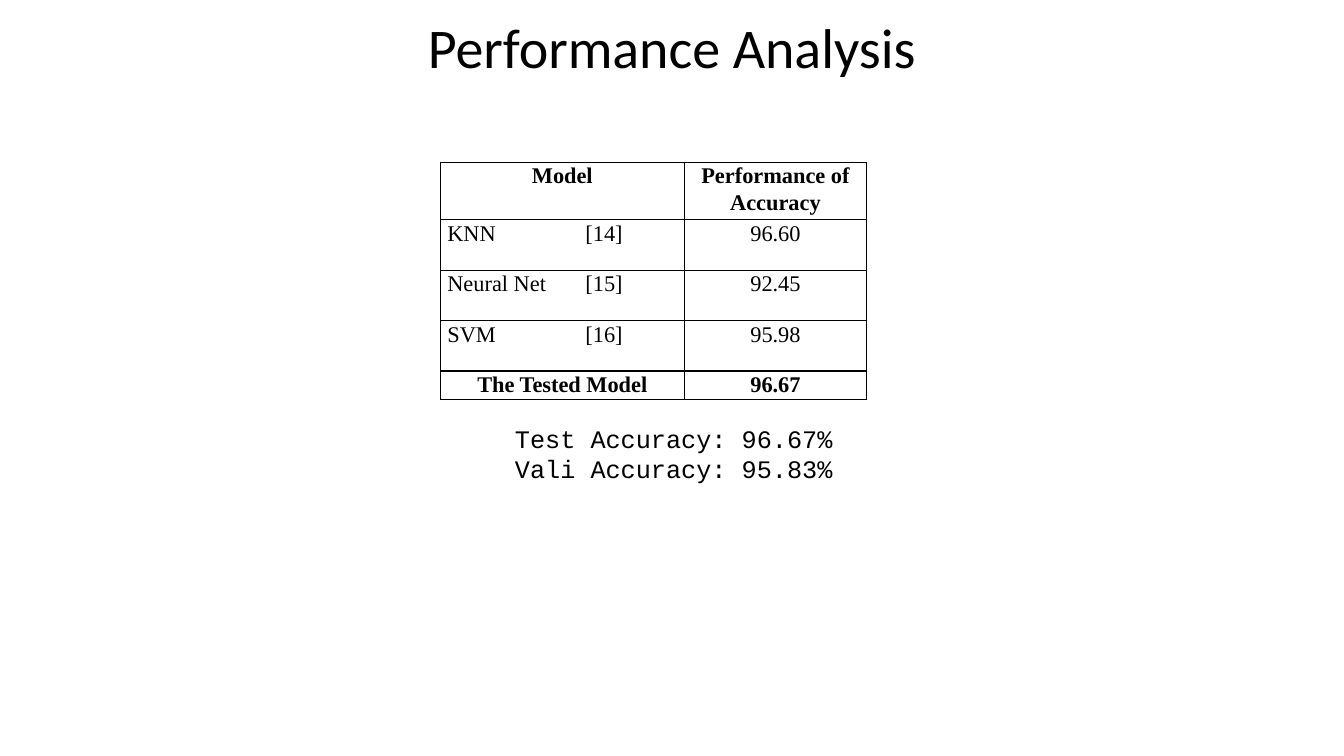
from lxml.etree import SubElement
from pptx import Presentation
from pptx.dml.color import RGBColor
from pptx.enum.text import MSO_ANCHOR, MSO_AUTO_SIZE, PP_ALIGN
from pptx.oxml.ns import qn
from pptx.util import Pt

COLORS = {"ink": "000000", "paper": "FFFFFF"}
FORMATS = {
    "title": {"name": "Calibri", "size": Pt(40), "bold": False},
    "heading": {"name": "Times New Roman", "size": Pt(16), "bold": True},
    "entry": {"name": "Times New Roman", "size": Pt(16), "bold": False},
    "result": {"name": "Courier New", "size": Pt(18), "bold": False},
}
MARGINS = {"margin_left": Pt(5), "margin_right": Pt(5), "margin_top": 0, "margin_bottom": 0}
CITATION_TAB = Pt(98.6)


def write(paragraph, text, style):
    run = paragraph.add_run()
    run.text = text
    for attribute, value in FORMATS[style].items():
        setattr(run.font, attribute, value)
    run.font.color.rgb = RGBColor.from_string(COLORS["ink"])


def outline(cell):
    """Draw a 1 pt line on all four sides of a table cell."""
    properties = cell._tc.get_or_add_tcPr()
    for position, side in enumerate(("lnL", "lnR", "lnT", "lnB")):
        line = properties.makeelement(qn(f"a:{side}"), {"w": str(Pt(1))})
        fill = SubElement(line, qn("a:solidFill"))
        SubElement(fill, qn("a:srgbClr"), val=COLORS["ink"])
        properties.insert(position, line)


presentation = Presentation()
presentation.slide_width = Pt(960)
presentation.slide_height = Pt(540)
slide = presentation.slides.add_slide(presentation.slide_layouts[5])

# Title
title = slide.shapes.title
title.left, title.top, title.width, title.height = Pt(94.3), Pt(-26), Pt(771), Pt(87)
title.text_frame.vertical_anchor = MSO_ANCHOR.BOTTOM
heading = title.text_frame.paragraphs[0]
heading.alignment = PP_ALIGN.CENTER
heading.line_spacing = 0.9
write(heading, "Performance Analysis", "title")

# Accuracies of the final model
results = slide.shapes.add_textbox(Pt(360.7), Pt(298.8), Pt(480), Pt(72.7)).text_frame
results.word_wrap = True
results.auto_size = MSO_AUTO_SIZE.SHAPE_TO_FIT_TEXT
write(results.paragraphs[0], "Test Accuracy: 96.67%", "result")
write(results.add_paragraph(), "Vali Accuracy: 95.83%", "result")

# Comparison of models: model, accuracy, style, space after
comparison = [
    ("Model", "Performance of Accuracy", "heading", 3),
    ("KNN\t[14]", "96.60", "entry", 1),
    ("Neural Net\t[15]", "92.45", "entry", 1),
    ("SVM\t[16]", "95.98", "entry", 1),
    ("The Tested Model", "96.67", "heading", 1),
]
table = slide.shapes.add_table(
    len(comparison), 2, Pt(314.6), Pt(115.9), Pt(304.5), Pt(161)
).table
for column, width in zip(table.columns, (174.2, 130.3)):
    column.width = Pt(width)
for row, height in zip(table.rows, (36, 36, 36, 36, 17)):
    row.height = Pt(height)

for row, (model, accuracy, style, space_after) in zip(table.rows, comparison):
    for cell, text in zip(row.cells, (model, accuracy)):
        cell.fill.solid()
        cell.fill.fore_color.rgb = RGBColor.from_string(COLORS["paper"])
        outline(cell)
        for margin, value in MARGINS.items():
            setattr(cell, margin, value)
        paragraph = cell.text_frame.paragraphs[0]
        paragraph.line_spacing = 1.07
        paragraph.space_after = Pt(space_after)
        if "\t" in text:
            paragraph.alignment = PP_ALIGN.LEFT
            tabs = SubElement(paragraph._p.get_or_add_pPr(), qn("a:tabLst"))
            SubElement(tabs, qn("a:tab"), pos=str(CITATION_TAB), algn="l")
        else:
            paragraph.alignment = PP_ALIGN.CENTER
        write(paragraph, text, style)

presentation.save("out.pptx")
